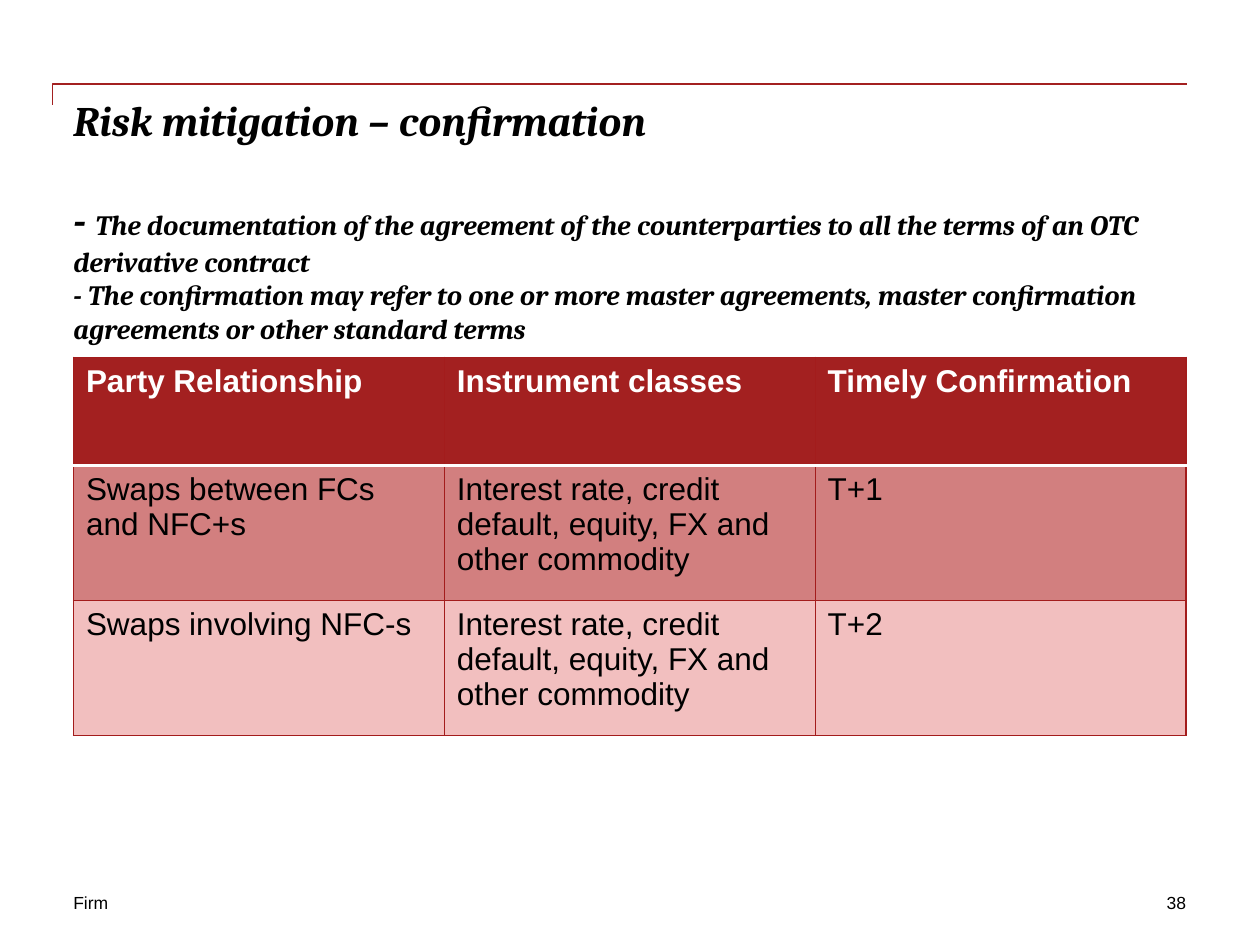
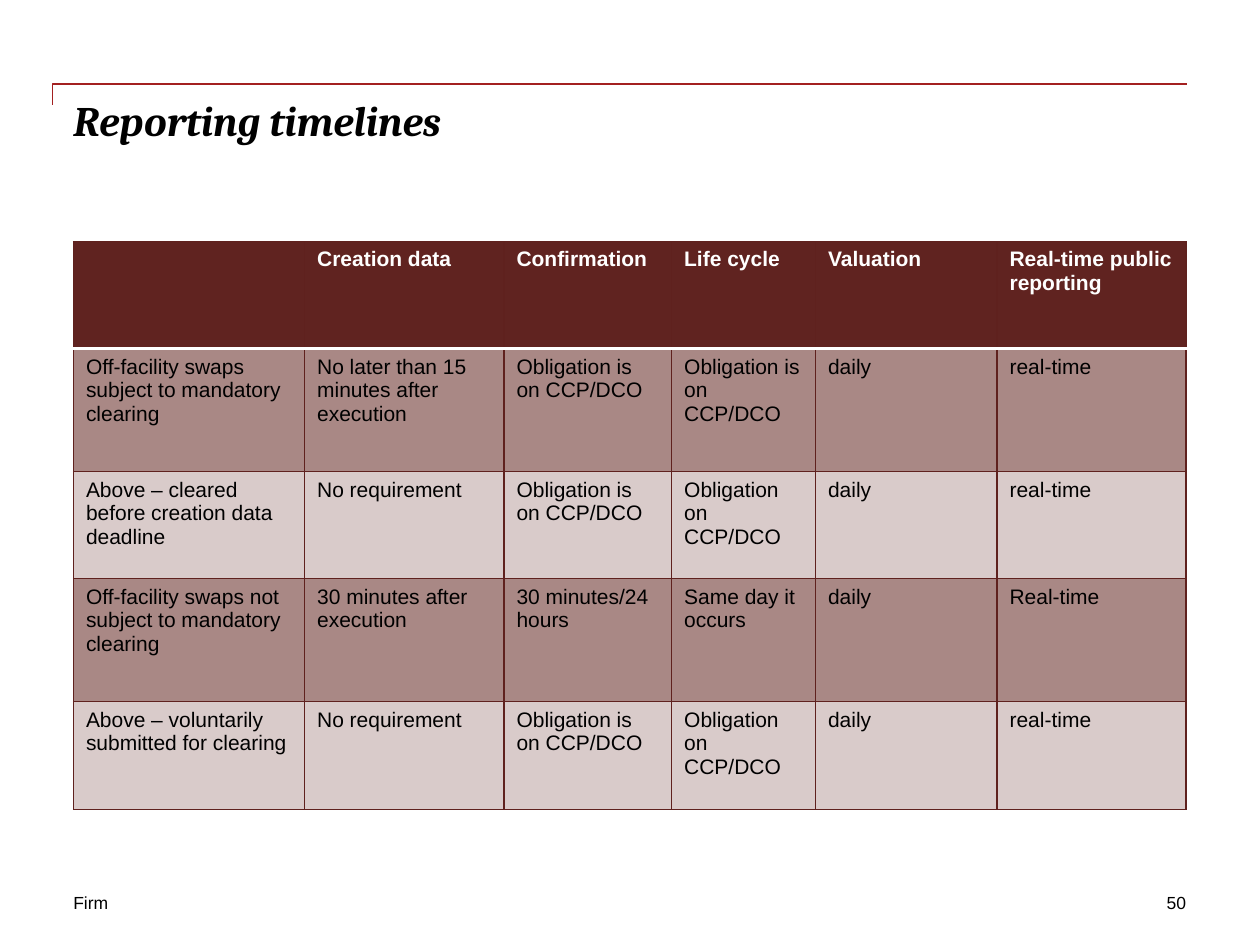
from lxml.etree import SubElement
from pptx import Presentation
from pptx.dml.color import RGBColor
from pptx.enum.shapes import MSO_CONNECTOR as Connector
from pptx.enum.text import MSO_ANCHOR as Anchor, MSO_AUTO_SIZE as AutoSize, PP_ALIGN as Align
from pptx.oxml.ns import qn
from pptx.util import Cm, Pt

COLORS = {
    "rule": "A32020",
    "ink": "000000",
    "paper": "FFFFFF",
}
RED_TABLE = {"header": "A32020", "odd": "D27F7F", "even": "F2BFBF", "border": "A31C1C"}
BROWN_TABLE = {"header": "602320", "odd": "A98885", "even": "D9CBCA", "border": "5F211E"}

LEFT, WIDTH = 1.48, 22.43
RIGHT = LEFT + WIDTH
TITLE_SIZE, LEAD_SIZE, FOOTER_SIZE = 24, 16, 10


class Deck:
    """Shared style, plus the slide being built."""

    heading_font, body_font = "Cambria", "Arial"

    def __init__(self):
        self.presentation = Presentation()
        self.presentation.slide_width = Cm(25.4)
        self.presentation.slide_height = Cm(19.05)
        self.slide = None

    def new_slide(self, title, page, statements=()):
        title_only = self.presentation.slide_layouts[5]
        self.slide = self.presentation.slides.add_slide(title_only)
        self.corner_rule()
        self.title(title, statements)
        self.footer("Firm", LEFT, 7.2, Align.LEFT)
        self.footer(page, RIGHT - 4.23, 4.23, Align.RIGHT)

    def style(self, paragraph, size, font, color="ink", bold=False, italic=False):
        for run in paragraph.runs:
            run.font.name = font
            run.font.size = Pt(size)
            run.font.bold = bold
            run.font.italic = italic
            run.font.color.rgb = RGBColor.from_string(COLORS[color])

    def frame(self, shape, anchor=Anchor.TOP):
        text_frame = shape.text_frame
        text_frame.margin_left = text_frame.margin_right = 0
        text_frame.margin_top = text_frame.margin_bottom = 0
        text_frame.word_wrap = True
        text_frame.auto_size = AutoSize.NONE
        text_frame.vertical_anchor = anchor
        return text_frame

    def corner_rule(self):
        # A two-segment elbow, turned a quarter so its short leg hangs at the left
        center_x, center_y, length, drop = 12.49, 1.9, 22.86, 0.42
        rule = self.slide.shapes.add_connector(
            Connector.ELBOW,
            Cm(center_x + drop / 2), Cm(center_y + length / 2),
            Cm(center_x - drop / 2), Cm(center_y - length / 2))
        rule.line.color.rgb = RGBColor.from_string(COLORS["rule"])
        rule.line.width = Pt(1)
        properties = rule.element.spPr
        properties.find(qn("a:xfrm")).set("rot", "5400000")
        properties.find(qn("a:prstGeom")).set("prst", "bentConnector2")
        SubElement(properties, qn("a:effectLst"))

    def title(self, text, statements):
        heading = self.slide.shapes.title
        heading.left, heading.top = Cm(LEFT), Cm(1.9)
        heading.width, heading.height = Cm(WIDTH), Cm(1.9 if statements else 2.54)
        text_frame = self.frame(heading)
        text_frame.text = text
        for statement in statements:
            paragraph = text_frame.add_paragraph()
            paragraph.text = "- "
            paragraph.add_run().text = statement
        for paragraph in text_frame.paragraphs:
            paragraph.alignment = Align.LEFT
            self.style(paragraph, LEAD_SIZE, self.heading_font, bold=True, italic=True)
        text_frame.paragraphs[0].runs[0].font.size = Pt(TITLE_SIZE)
        if statements:
            first_statement = text_frame.paragraphs[1]
            first_statement.space_before = Pt(28)
            first_statement.runs[0].font.size = Pt(TITLE_SIZE)

    def footer(self, text, left, width, alignment):
        box = self.slide.shapes.add_textbox(Cm(left), Cm(17.99), Cm(width), Cm(0.42))
        text_frame = self.frame(box)
        text_frame.text = text
        text_frame.paragraphs[0].alignment = alignment
        self.style(text_frame.paragraphs[0], FOOTER_SIZE, self.body_font)

    def border(self, cell, side, color, width):
        line = SubElement(cell._tc.get_or_add_tcPr(), qn(f"a:ln{side}"), w=str(Pt(width)))
        SubElement(SubElement(line, qn("a:solidFill")), qn("a:srgbClr"), val=color)

    def table(self, rows, top, widths, heights, size, palette):
        table = self.slide.shapes.add_table(
            len(rows), len(widths), Cm(LEFT), Cm(top), Cm(sum(widths)), Cm(sum(heights))).table
        for column, width in zip(table.columns, widths):
            column.width = Cm(width)
        for index, (row, height, texts) in enumerate(zip(table.rows, heights, rows)):
            row.height = Cm(height)
            is_header = index == 0
            band = "header" if is_header else ("even", "odd")[index % 2]
            # The white line lies between the header and the first body row
            white_side = {0: "B", 1: "T"}.get(index)
            for cell, text in zip(row.cells, texts):
                cell.text = text
                self.style(cell.text_frame.paragraphs[0], size, self.body_font,
                           "paper" if is_header else "ink", bold=is_header)
                for side in "LRTB":
                    if side == white_side:
                        self.border(cell, side, COLORS["paper"], 2)
                    else:
                        self.border(cell, side, palette["border"], 0.75)
                cell.fill.solid()
                cell.fill.fore_color.rgb = RGBColor.from_string(palette[band])


def main():
    deck = Deck()

    # Confirmation deadlines
    deck.new_slide("Risk mitigation – confirmation", "38", [
        "The documentation of the agreement of the counterparties to all the terms "
        "of an OTC derivative contract",
        "The confirmation may refer to one or more master agreements, master confirmation "
        "agreements or other standard terms",
    ])
    instruments = "Interest rate, credit default, equity, FX and other commodity"
    confirmations = [
        ["Party Relationship", "Instrument classes", "Timely Confirmation"],
        ["Swaps between FCs and NFC+s", instruments, "T+1"],
        ["Swaps involving NFC-s", instruments, "T+2"],
    ]
    deck.table(confirmations, 7.2, [WIDTH / 3] * 3, [2.18, 2.72, 2.72], 18, RED_TABLE)

    # Reporting deadlines
    deck.new_slide("Reporting timelines", "50")
    on_clearer = "Obligation is on CCP/DCO"
    cleared = ["No requirement", on_clearer, "Obligation on CCP/DCO", "daily", "real-time"]
    timelines = [
        ["", "Creation data", "Confirmation", "Life cycle", "Valuation",
         "Real-time public reporting"],
        ["Off-facility swaps subject to mandatory clearing",
         "No later than 15 minutes after execution", on_clearer, on_clearer,
         "daily", "real-time"],
        ["Above – cleared before creation data deadline", *cleared],
        ["Off-facility swaps not subject to mandatory clearing",
         "30 minutes after execution", "30 minutes/24 hours", "Same day it occurs",
         "daily", "Real-time"],
        ["Above – voluntarily submitted for clearing", *cleared],
    ]
    deck.table(timelines, 4.87, [4.66, 4.02, 3.38, 2.9, 3.66, 3.81],
               [2.16, 2.48, 2.16, 2.48, 2.16], 12, BROWN_TABLE)

    deck.presentation.save("out.pptx")


if __name__ == "__main__":
    main()
